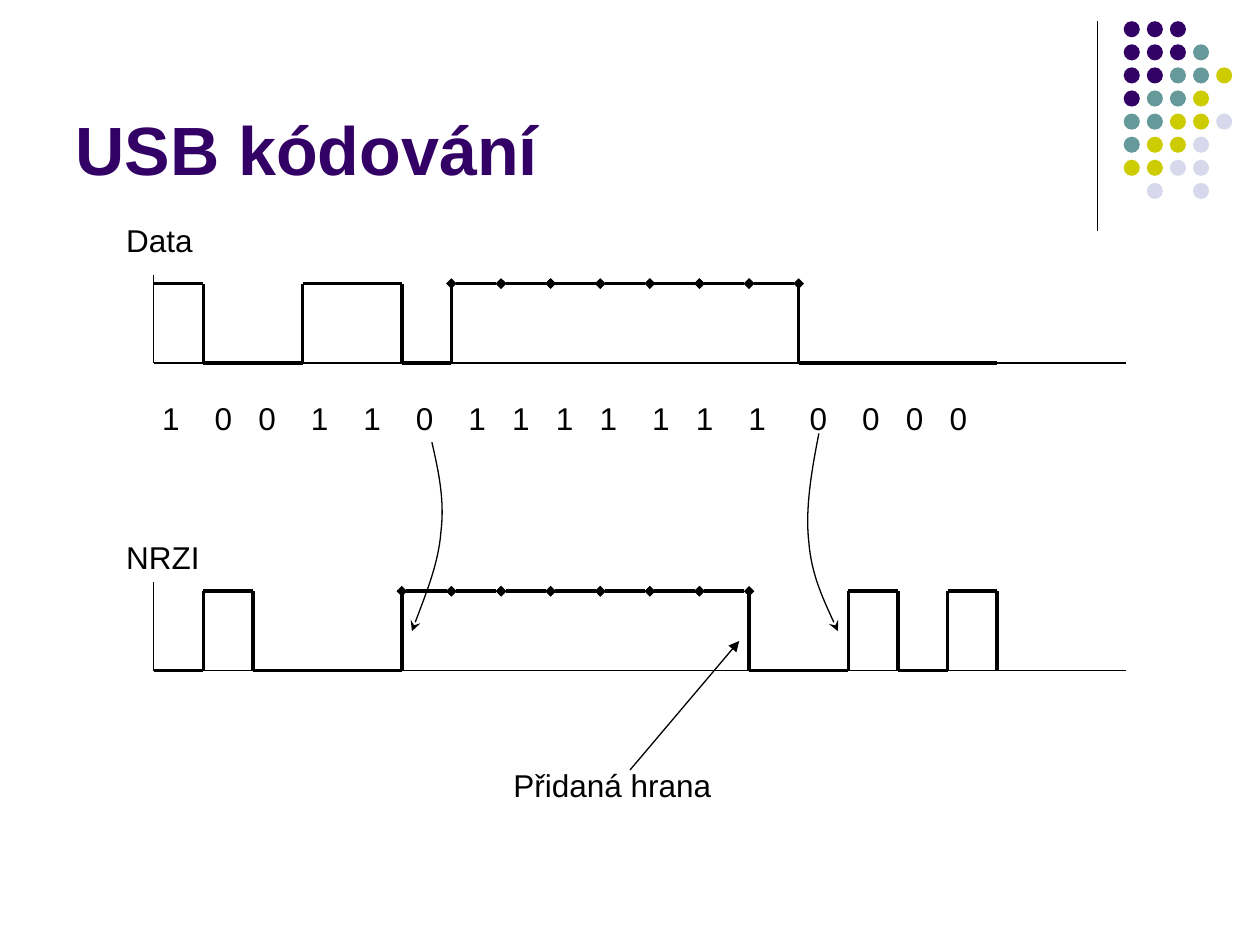
from itertools import accumulate
from lxml import etree
from pptx import Presentation
from pptx import util as u
from pptx.dml.color import RGBColor
from pptx.enum import shapes, text
from pptx.oxml import ns

BLACK = "000000"
LEFT, STEP = 87.85, 28.35  # start of the time axis and width of one bit
HIGH = 45.35
DATA = "10011011111110000"
NRZI = "01000111111100101"
DOTS = ["PPP", "PPPT", "PPTTY", "PTTY", "TTYYL", "TYYL", "YYLL", " L L"]
HUES = {"P": "330066", "T": "669999", "Y": "CCCC00", "L": "D8D8EC"}


def rgb(code):
    return RGBColor.from_string(code)


def sub(node, tag, **attrs):
    return etree.SubElement(node, ns.qn(tag), **attrs)


def style(item, width, head=None, tail=None):
    """Set a black outline with optional end marks."""
    item.line.width = u.Pt(width)
    item.line.color.rgb = rgb(BLACK)
    ln = item.line._get_or_add_ln()
    for tag, kind in (("a:headEnd", head), ("a:tailEnd", tail)):
        if kind:
            sub(ln, tag, type=kind)


def line(slide, x1, y1, x2, y2, width=0.75, head=None, tail=None):
    item = slide.shapes.add_connector(
        shapes.MSO_CONNECTOR.STRAIGHT, u.Pt(x1), u.Pt(y1), u.Pt(x2), u.Pt(y2))
    style(item, width, head, tail)
    sub(item._element.spPr, "a:effectLst")


def curve(slide, points):
    """Draw cubic arcs: a start, then three points for each arc."""
    spots = [(u.Pt(x), u.Pt(y)) for x, y in points]
    pen = slide.shapes.build_freeform(*spots[0])
    pen.add_line_segments(spots[1:], close=False)
    item = pen.convert_to_shape()
    item.shadow.inherit = False
    item.fill.background()
    style(item, 0.75, tail="stealth")
    steps = list(item._element.iter(ns.qn("a:lnTo")))
    track = steps[0].getparent()
    for i in range(0, len(steps), 3):
        arc = sub(track, "a:cubicBezTo")
        for step in steps[i:i + 3]:
            arc.append(step[0])
            track.remove(step)


def label(slide, words, x, y, w, h, size=18, color=BLACK, bold=False,
          anchor=text.MSO_ANCHOR.TOP):
    box = slide.shapes.add_textbox(u.Pt(x), u.Pt(y), u.Pt(w), u.Pt(h))
    frame = box.text_frame
    frame.word_wrap = True
    frame.vertical_anchor = anchor
    para = frame.paragraphs[0]
    run = para.add_run()
    run.text = words
    font = run.font
    font.name, font.size, font.bold = "Arial", u.Pt(size), bold
    font.color.rgb = rgb(color)
    return para


def bits(slide):
    """Write the data bits at tab stops below the upper wave."""
    para = label(slide, "".join("\t" + bit for bit in DATA), 70.6, 224.6, 533, 28.8)
    gaps = [15, 30, 25, 30, 30, 30, 30, 25, 25, 25, 30, 25, 30, 35, 30, 25, 25]
    tabs = sub(para._p.get_or_add_pPr(), "a:tabLst")
    for stop in accumulate(gaps):
        sub(tabs, "a:tab", pos=str(u.Pt(stop)), algn="l")


def wave(slide, levels, base, marked):
    """Draw axes and a square wave; marked bits get diamond ends."""
    line(slide, LEFT, base - 50.4, LEFT, base)
    line(slide, LEFT, base, 643.5, base)
    last = levels[0]
    for i, level in enumerate(levels):
        x = LEFT + i * STEP
        y = base - HIGH * int(level)
        if level != last:
            line(slide, x, base, x, base - HIGH, 2)
        mark = "diamond" if i in marked else None
        line(slide, x, y, x + STEP, y, 2, mark, mark)
        last = level
    if last == "1":
        end = LEFT + len(levels) * STEP
        line(slide, end, base, end, base - HIGH, 2)


def dots(slide):
    line(slide, 627, 12, 627, 132)
    for r, row in enumerate(DOTS):
        for c, key in enumerate(row):
            if key in HUES:
                dot = slide.shapes.add_shape(
                    shapes.MSO_SHAPE.OVAL, u.Pt(642.1 + 13.2 * c),
                    u.Pt(12.1 + 13.2 * r), u.Pt(9.2), u.Pt(9.2))
                dot.shadow.inherit = False
                dot.fill.solid()
                dot.fill.fore_color.rgb = rgb(HUES[key])
                dot.line.fill.background()


def main():
    deck = Presentation()
    deck.slide_width, deck.slide_height = u.Pt(720), u.Pt(540)
    slide = deck.slides.add_slide(deck.slide_layouts[6])
    dots(slide)
    label(slide, "USB kódování", 36, 9.4, 594, 102.2, size=39, color="330066",
          bold=True, anchor=text.MSO_ANCHOR.BOTTOM)
    wave(slide, DATA, 207.4, range(6, 13))
    bits(slide)
    wave(slide, NRZI, 383.2, range(5, 12))
    curve(slide, [(468, 247.7), (463.7, 269.3), (460.1, 290.9), (462.2, 309.6),
                  (463.7, 328.3), (471.6, 344.9), (478.8, 360.7)])
    label(slide, "Přidaná hrana", 286.3, 434.2, 130.5, 28.8)
    line(slide, 360, 440, 422.4, 366.3, tail="triangle")
    label(slide, "Data", 65, 122.6, 90.7, 28.8)
    label(slide, "NRZI", 65, 303.8, 113.8, 28.8)
    curve(slide, [(246.8, 252.7), (250.6, 269.3), (254.2, 285.8), (252, 303.8),
                  (250.6, 321.8), (242.6, 341.3), (235.4, 360.7)])
    deck.save("out.pptx")


if __name__ == "__main__":
    main()
